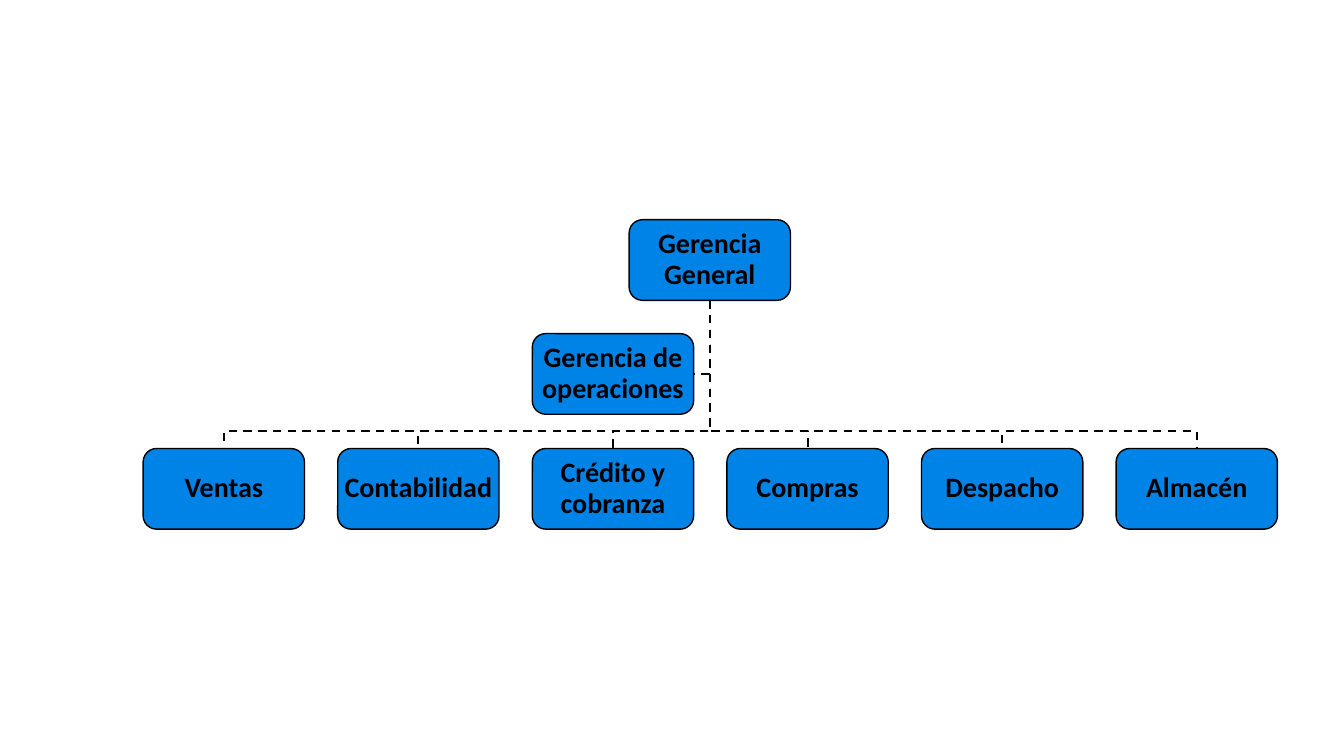
"""Builds a company organization chart slide."""
from dataclasses import dataclass

from pptx import Presentation
from pptx.dml.color import RGBColor
from pptx.enum.dml import MSO_LINE_DASH_STYLE as Dash
from pptx.enum.shapes import MSO_AUTO_SHAPE_TYPE as ShapeType
from pptx.enum.text import MSO_ANCHOR as Anchor, PP_ALIGN as Align
from pptx.slide import Slide
from pptx.util import Pt

PX = 9144
PAGE_WIDTH, PAGE_HEIGHT = 1333, 750
BOX_WIDTH, BOX_HEIGHT = 160, 80
DEPARTMENT_LEFT, DEPARTMENT_TOP, DEPARTMENT_STEP = 142, 445, 193
BUS_Y = 428
COLORS = {"box": "0083E6", "ink": "000000"}
FRAME_FORMAT = {
    "word_wrap": True,
    "vertical_anchor": Anchor.MIDDLE,
    "margin_left": PX,
    "margin_top": PX,
    "margin_right": PX,
    "margin_bottom": PX,
}
PARA_FORMAT = {"alignment": Align.CENTER, "line_spacing": 0.9}
FONT_FORMAT = {"name": "Calibri", "size": Pt(20), "bold": True}


@dataclass(frozen=True)
class Unit:
    """One box of the chart."""
    name: str
    left: int
    top: int

    @property
    def center(self) -> int:
        """Horizontal middle of the box."""
        return self.left + BOX_WIDTH // 2


MANAGEMENT = Unit("Gerencia General", 624, 218)
OPERATIONS = Unit("Gerencia de operaciones", 528, 331)
DEPARTMENTS = [
    Unit(name, DEPARTMENT_LEFT + index * DEPARTMENT_STEP, DEPARTMENT_TOP)
    for index, name in enumerate(
        ["Ventas", "Contabilidad", "Crédito y cobranza", "Compras", "Despacho", "Almacén"]
    )
]


def color(name: str) -> RGBColor:
    """Look up a named colour."""
    return RGBColor.from_string(COLORS[name])


def apply_format(target: object, values: dict) -> None:
    """Set each attribute in the format values."""
    for name, value in values.items():
        setattr(target, name, value)


def draw_link(page: Slide, points: list[tuple[int, int]]) -> None:
    """Draw a dashed link from the management box through the points."""
    start_y = MANAGEMENT.top + BOX_HEIGHT
    builder = page.shapes.build_freeform(MANAGEMENT.center, start_y, scale=PX)
    builder.add_line_segments(points, close=False)
    link = builder.convert_to_shape()
    link.shadow.inherit = False
    link.fill.background()
    link.line.color.rgb = color("ink")
    apply_format(link.line, {"width": Pt(1.5), "dash_style": Dash.DASH})


def draw_unit(page: Slide, unit: Unit) -> None:
    """Draw a rounded box with its name."""
    box = page.shapes.add_shape(
        ShapeType.ROUNDED_RECTANGLE,
        *(length * PX for length in (unit.left, unit.top, BOX_WIDTH, BOX_HEIGHT)),
    )
    box.shadow.inherit = False
    box.fill.solid()
    box.fill.fore_color.rgb = color("box")
    box.line.color.rgb = color("ink")
    box.line.width = Pt(1)
    apply_format(box.text_frame, FRAME_FORMAT)
    para = box.text_frame.paragraphs[0]
    apply_format(para, PARA_FORMAT)
    span = para.add_run()
    span.text = unit.name
    apply_format(span.font, FONT_FORMAT)
    span.font.color.rgb = color("ink")


def main() -> None:
    """Build and save the deck."""
    deck = Presentation()
    deck.slide_width, deck.slide_height = PAGE_WIDTH * PX, PAGE_HEIGHT * PX
    page = deck.slides.add_slide(deck.slide_layouts[6])
    trunk = MANAGEMENT.center
    side_y = OPERATIONS.top + BOX_HEIGHT // 2
    draw_link(page, [(trunk, side_y), (OPERATIONS.left + BOX_WIDTH, side_y)])
    for unit in reversed(DEPARTMENTS):
        draw_link(page, [(trunk, BUS_Y), (unit.center, BUS_Y), (unit.center, unit.top)])
    for unit in [MANAGEMENT, *DEPARTMENTS, OPERATIONS]:
        draw_unit(page, unit)
    deck.save("out.pptx")


if __name__ == "__main__":
    main()
